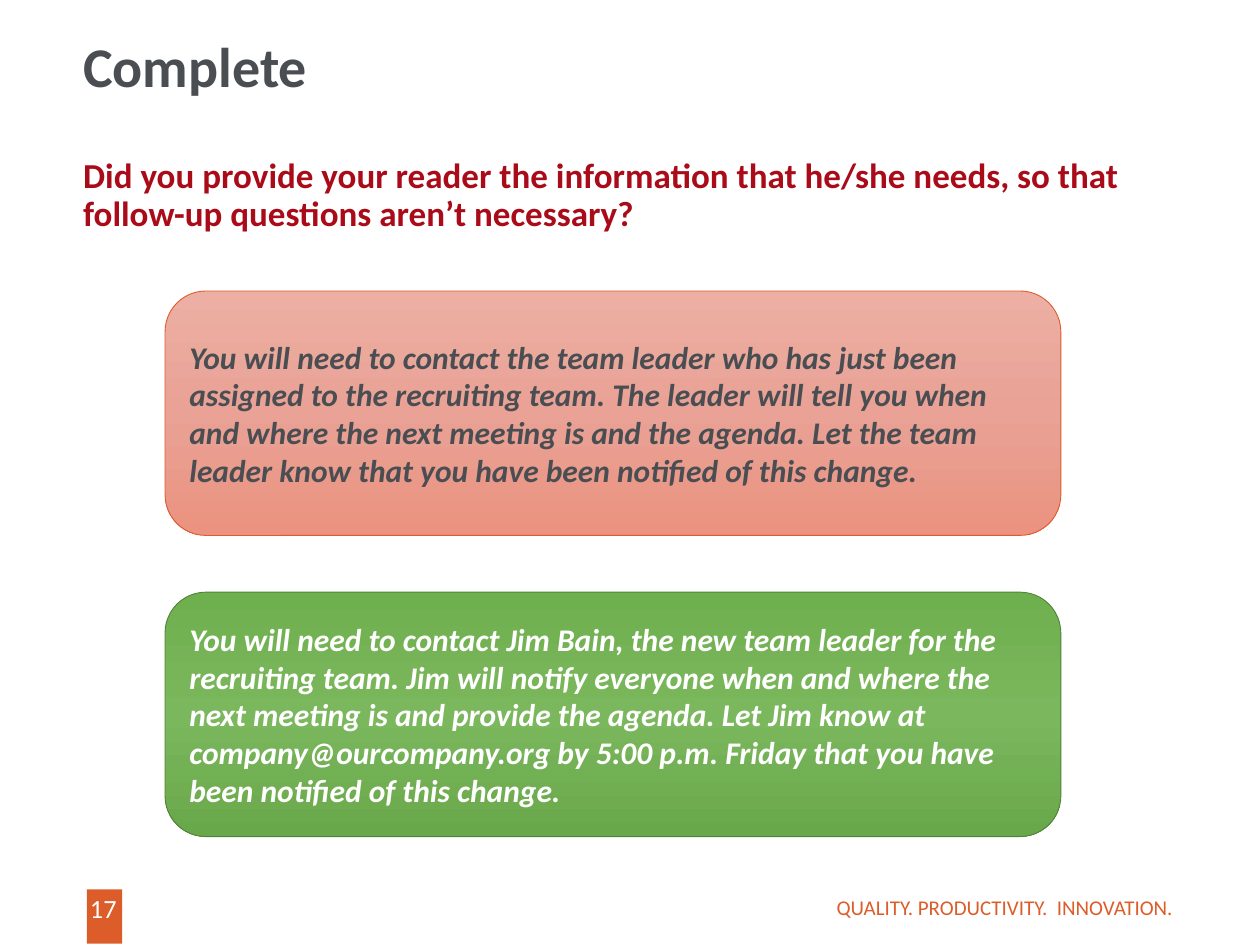
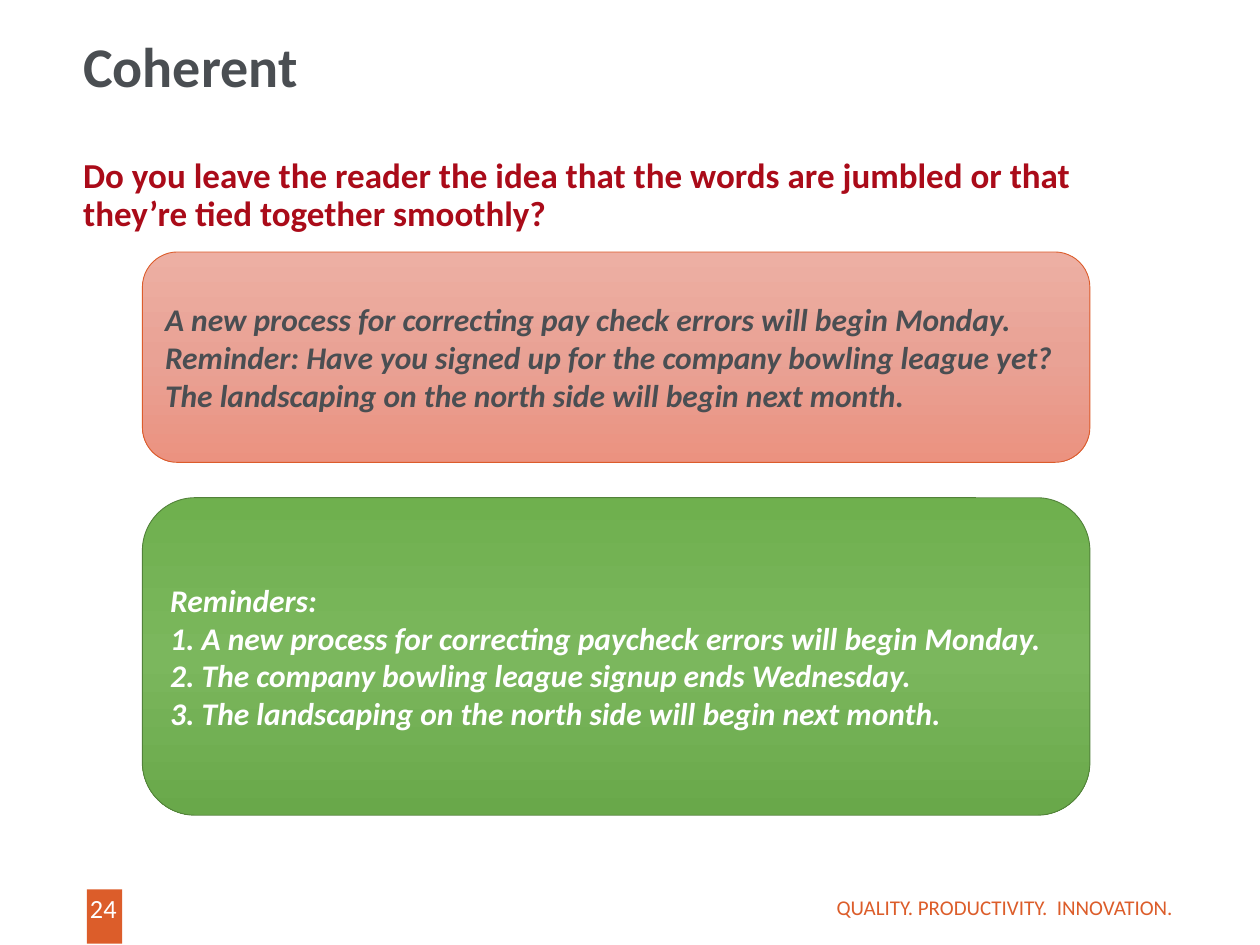
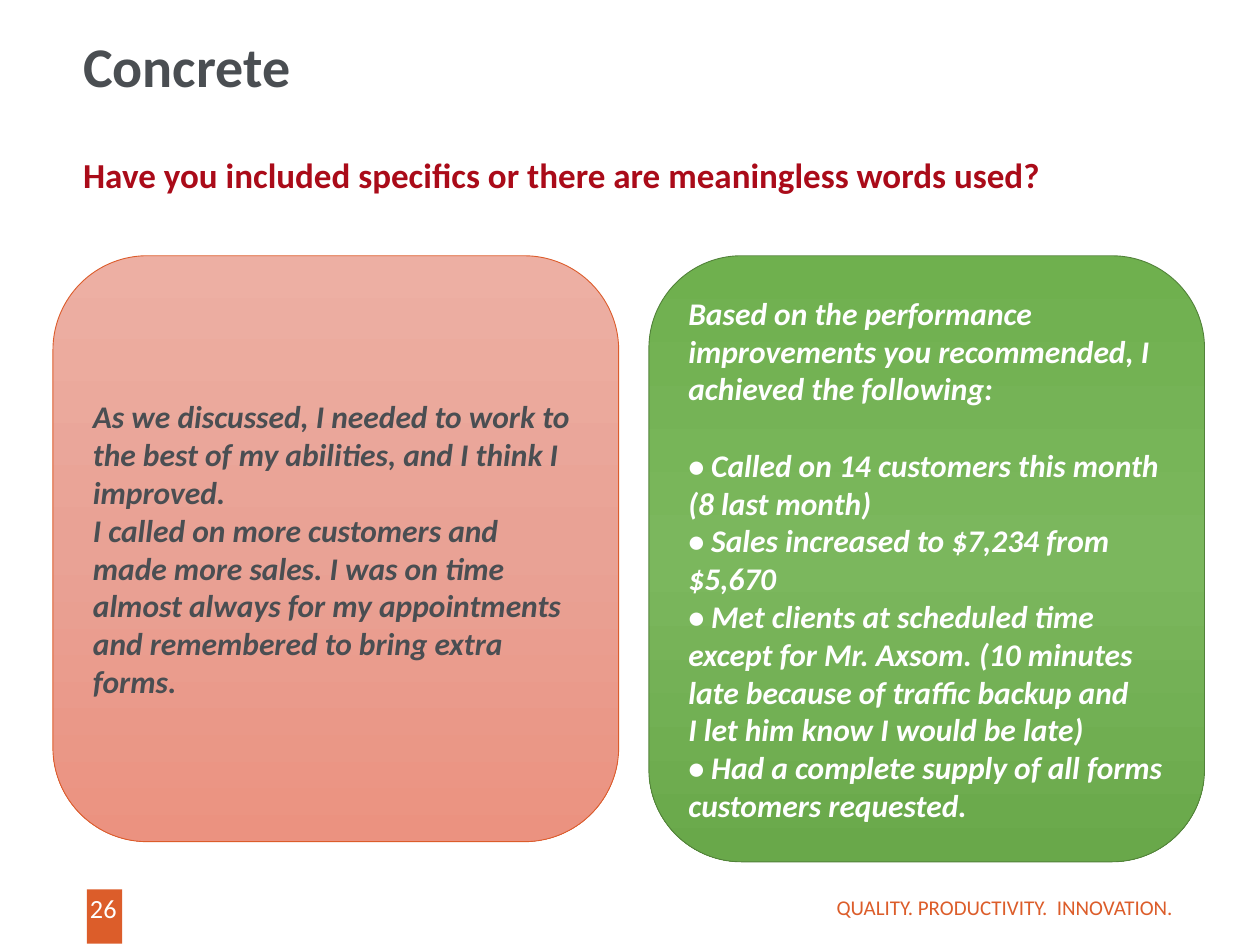
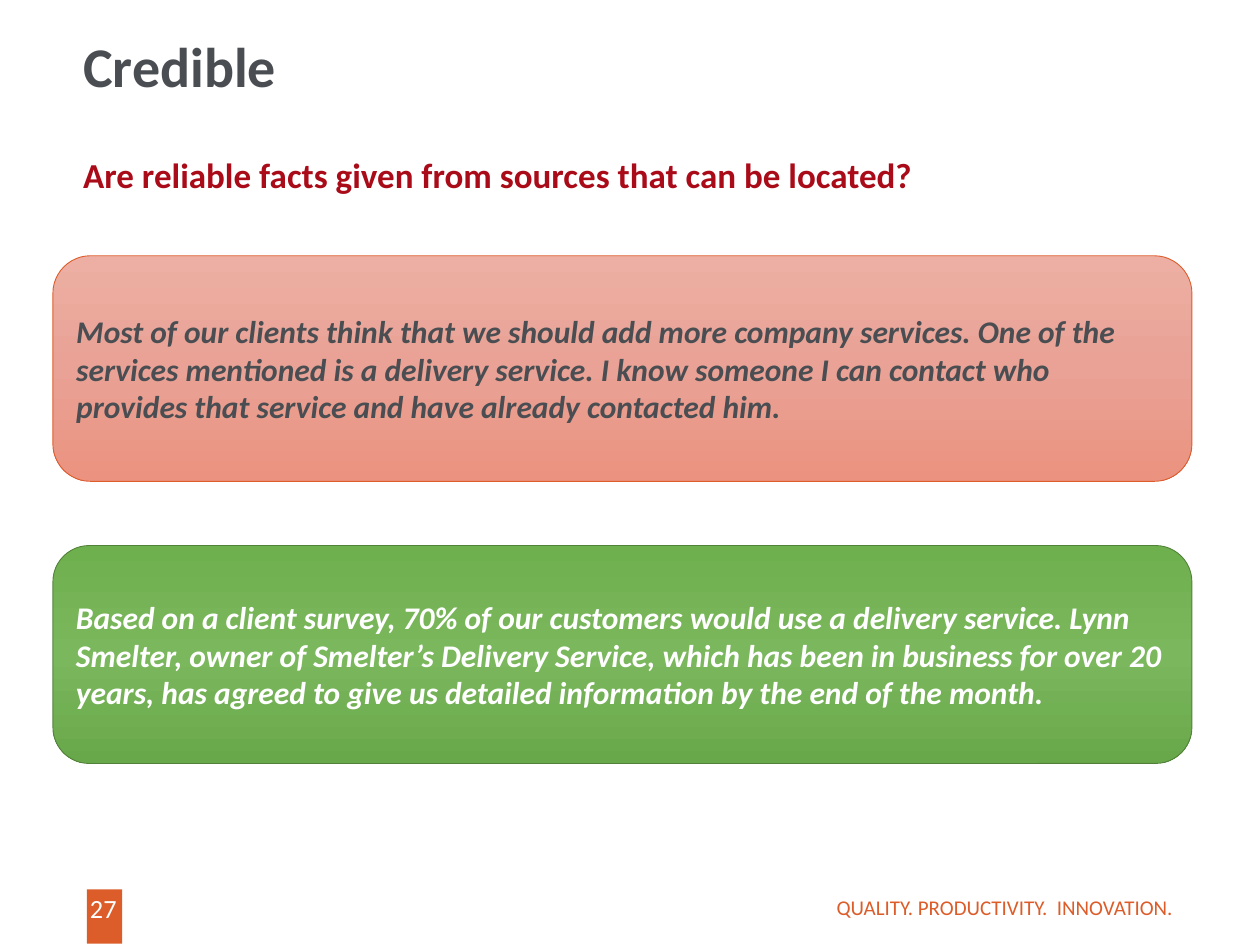
import copy
from dataclasses import dataclass

import pptx
import pptx.util
from pptx.dml.color import RGBColor
from pptx.enum.shapes import MSO_SHAPE
from pptx.enum.text import MSO_ANCHOR, MSO_AUTO_SIZE, PP_ALIGN
from pptx.oxml.ns import qn

# Slide size and a grid of 10 columns by 7.5 rows
SLIDE_WIDTH = pptx.util.Inches(10)
SLIDE_HEIGHT = pptx.util.Inches(7.5)
COLUMN = SLIDE_WIDTH / 10
ROW = SLIDE_HEIGHT / 7.5

# Shared look
FONT = "Calibri"
WHITE = RGBColor(0xFF, 0xFF, 0xFF)
SLATE = RGBColor(0x4A, 0x4E, 0x52)
CRIMSON = RGBColor(0xAA, 0x0B, 0x19)
ORANGE = RGBColor(0xDC, 0x5D, 0x2A)
WEAK_LINE = RGBColor(0xDC, 0x5C, 0x2B)
WEAK_TOP = RGBColor(0xED, 0xAF, 0xA3)
WEAK_MIDDLE = RGBColor(0xE9, 0xA2, 0x95)
WEAK_BOTTOM = RGBColor(0xEB, 0x92, 0x80)
STRONG_LINE = RGBColor(0x52, 0x82, 0x3A)
STRONG_TOP = RGBColor(0x6F, 0xB0, 0x4E)
STRONG_MIDDLE = RGBColor(0x7B, 0xB7, 0x5D)
STRONG_BOTTOM = RGBColor(0x69, 0xA8, 0x4A)

MARGIN = 0.66
HEADING_INSETS = (0, 0.05, 0.1, 0.05)
NO_INSETS = (0, 0, 0, 0)
MOTTO = "QUALITY. PRODUCTIVITY.  INNOVATION."


@dataclass
class CardStyle:
    gradient: tuple
    line: RGBColor
    text: RGBColor


WEAK = CardStyle((WEAK_TOP, WEAK_MIDDLE, WEAK_BOTTOM), WEAK_LINE, SLATE)
STRONG = CardStyle((STRONG_TOP, STRONG_MIDDLE, STRONG_BOTTOM), STRONG_LINE, WHITE)


def grid_box(left, top, width, height):
    """Turn columns and rows into slide lengths."""
    return (round(left * COLUMN), round(top * ROW),
            round(width * COLUMN), round(height * ROW))


def write(frame, lines, size, color, bold=False, italic=False,
          align=PP_ALIGN.LEFT, anchor=MSO_ANCHOR.TOP, insets=None, spacing=None):
    """Fill a text frame with evenly formatted paragraphs."""
    frame.text = "\n".join(lines)
    frame.word_wrap = True
    frame.auto_size = MSO_AUTO_SIZE.NONE
    frame.vertical_anchor = anchor
    if insets:
        (frame.margin_left, frame.margin_top,
         frame.margin_right, frame.margin_bottom) = map(pptx.util.Inches, insets)
    for paragraph in frame.paragraphs:
        paragraph.alignment = align
        paragraph.line_spacing = spacing
        font = paragraph.font
        font.name = FONT
        font.size = pptx.util.Pt(size)
        font.bold = bold
        font.italic = italic
        font.color.rgb = color


def add_text(slide, box, text, size, color, **options):
    label = slide.shapes.add_textbox(*grid_box(*box))
    write(label.text_frame, [text], size, color, **options)


def add_footer(slide, number):
    tab = slide.shapes.add_shape(MSO_SHAPE.RECTANGLE, *grid_box(0.69, 7.06, 0.28, 0.43))
    tab.shadow.inherit = False
    tab.fill.solid()
    tab.fill.fore_color.rgb = ORANGE
    tab.line.fill.background()
    add_text(slide, (0.64, 7.08, 0.36, 0.25), str(number), 15, WHITE,
             align=PP_ALIGN.CENTER, insets=NO_INSETS)
    add_text(slide, (6.26, 7, 3.05, 0.4), MOTTO, 12, ORANGE,
             align=PP_ALIGN.RIGHT, anchor=MSO_ANCHOR.MIDDLE, insets=NO_INSETS)


def add_question_slide(deck, number, heading, question):
    """Start a slide with its title, guiding question and footer."""
    slide = deck.slides.add_slide(deck.slide_layouts[5])
    title = slide.shapes.title
    title.left, title.top, title.width, title.height = grid_box(MARGIN, 0.26, 6.98, 1.19)
    write(title.text_frame, [heading], 32, SLATE, bold=True,
          insets=HEADING_INSETS, spacing=0.9)
    add_text(slide, (MARGIN, 1.21, 8.65, 0.75), question, 20, CRIMSON, bold=True,
             insets=HEADING_INSETS, spacing=0.9)
    add_footer(slide, number)
    return slide


def shade(card, colors):
    """Blend the colors evenly from top to bottom."""
    fill = card.fill
    fill.gradient()
    fill.gradient_angle = 270
    stop_list = card.element.spPr.find(qn("a:gradFill")).find(qn("a:gsLst"))
    while len(stop_list) < len(colors):
        stop_list.append(copy.deepcopy(stop_list[-1]))
    for index, (stop, color) in enumerate(zip(fill.gradient_stops, colors)):
        stop.color.rgb = color
        stop.position = index / (len(colors) - 1)


def add_card(slide, style, box, *lines):
    card = slide.shapes.add_shape(MSO_SHAPE.ROUNDED_RECTANGLE, *grid_box(*box))
    card.shadow.inherit = False
    shade(card, style.gradient)
    card.line.color.rgb = style.line
    card.line.width = pptx.util.Pt(0.5)
    write(card.text_frame, lines, 18, style.text, bold=True, italic=True,
          anchor=MSO_ANCHOR.MIDDLE)
    return card


def add_complete(deck):
    slide = add_question_slide(
        deck, 17, "Complete",
        "Did you provide your reader the information that he/she needs, so that "
        "follow-up questions aren’t necessary?")
    add_card(slide, WEAK, (1.31, 2.31, 7.11, 1.94),
             "You will need to contact the team leader who has just been assigned to "
             "the recruiting team. The leader will tell you when and where the next "
             "meeting is and the agenda. Let the team leader know that you have been "
             "notified of this change.")
    add_card(slide, STRONG, (1.31, 4.7, 7.11, 1.94),
             "You will need to contact Jim Bain, the new team leader for the "
             "recruiting team. Jim will notify everyone when and where the next "
             "meeting is and provide the agenda. Let Jim know at "
             "company@ourcompany.org by 5:00 p.m. Friday that you have been notified "
             "of this change.")


def add_coherent(deck):
    slide = add_question_slide(
        deck, 24, "Coherent",
        "Do you leave the reader the idea that the words are jumbled or that "
        "they’re tied together smoothly?")
    add_card(slide, WEAK, (1.13, 2, 7.52, 1.67),
             "A new process for correcting pay check errors will begin Monday. "
             "Reminder: Have you signed up for the company bowling league yet? The "
             "landscaping on the north side will begin next month.")
    add_card(slide, STRONG, (1.13, 3.95, 7.52, 2.52),
             "Reminders:",
             "1. A new process for correcting paycheck errors will begin Monday.",
             "2. The company bowling league signup ends Wednesday.",
             "3. The landscaping on the north side will begin next month.")


def add_concrete(deck):
    slide = add_question_slide(
        deck, 26, "Concrete",
        "Have you included specifics or there are meaningless words used?")
    add_card(slide, WEAK, (0.42, 2.03, 4.49, 4.65),
             "As we discussed, I needed to work to the best of my abilities, and I "
             "think I improved.",
             "I called on more customers and made more sales. I was on time almost "
             "always for my appointments and remembered to bring extra forms.")
    results = add_card(
        slide, STRONG, (5.15, 2.03, 4.41, 4.81),
        "Based on the performance improvements you recommended, I achieved the "
        "following:",
        "• Called on 14 customers this month (8 last month)",
        "• Sales increased to $7,234 from $5,670",
        "• Met clients at scheduled time except for Mr. Axsom. (10 minutes late "
        "because of traffic backup and",
        "I let him know I would be late)",
        "• Had a complete supply of all forms customers requested.")
    # One line of space between the introduction and the list
    results.text_frame.paragraphs[1].space_before = pptx.util.Pt(22)


def add_credible(deck):
    slide = add_question_slide(
        deck, 27, "Credible",
        "Are reliable facts given from sources that can be located?")
    add_card(slide, WEAK, (0.42, 2.03, 9.04, 1.79),
             "Most of our clients think that we should add more company services. One "
             "of the services mentioned is a delivery service. I know someone I can "
             "contact who provides that service and have already contacted him.")
    add_card(slide, STRONG, (0.42, 4.33, 9.04, 1.73),
             "Based on a client survey, 70% of our customers would use a delivery "
             "service. Lynn Smelter, owner of Smelter’s Delivery Service, which has "
             "been in business for over 20 years, has agreed to give us detailed "
             "information by the end of the month.")


def main():
    deck = pptx.Presentation()
    deck.slide_width = SLIDE_WIDTH
    deck.slide_height = SLIDE_HEIGHT
    add_complete(deck)
    add_coherent(deck)
    add_concrete(deck)
    add_credible(deck)
    deck.save("out.pptx")


if __name__ == "__main__":
    main()
